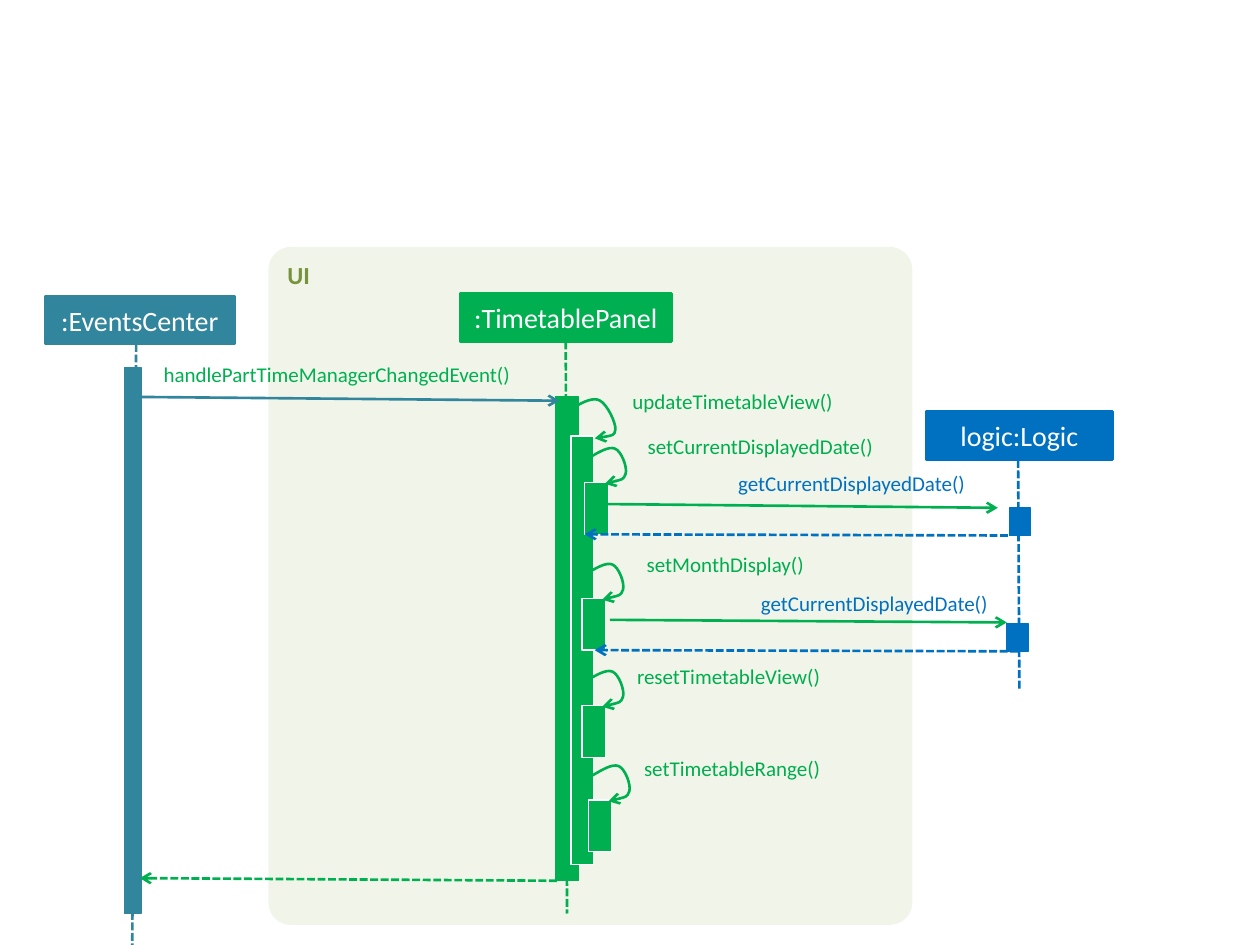
import pptx
import pptx.util
import pptx.dml.color
import pptx.enum.shapes
import pptx.enum.text
import pptx.enum.dml
import pptx.oxml.ns
import pptx.oxml.xmlchemy
from dataclasses import dataclass

Pt = pptx.util.Pt
RGB = pptx.dml.color.RGBColor.from_string
qn = pptx.oxml.ns.qn
OxmlElement = pptx.oxml.xmlchemy.OxmlElement
MSO = pptx.enum.shapes.MSO_SHAPE
ALIGN = pptx.enum.text.PP_ALIGN
ANCHOR = pptx.enum.text.MSO_ANCHOR


@dataclass(frozen=True)
class Theme:
    font: str = "Calibri"
    panel: str = "F1F5E9"
    panel_text: str = "77933C"
    events: str = "31859C"
    ui: str = "00B050"
    ui_text: str = "00AD4E"
    logic: str = "0070C0"
    white: str = "FFFFFF"
    head_size: int = 16
    panel_size: int = 14
    label_size: int = 12
    stroke: float = 1.5
    thin: float = 0.75


t = Theme()


def add_box(kind, rect, fill, line=None, width=t.thin):
    sp = s.shapes.add_shape(kind, *[Pt(v) for v in rect])
    sp.shadow.inherit = False
    sp.fill.solid()
    sp.fill.fore_color.rgb = RGB(fill)
    if line:
        sp.line.color.rgb = RGB(line)
        sp.line.width = Pt(width)
    else:
        sp.line.fill.background()
    return sp


def add_text(sp, text, size, color, align, anchor, bold=False):
    tf = sp.text_frame
    tf.word_wrap = True
    tf.vertical_anchor = anchor
    p = tf.paragraphs[0]
    p.alignment = align
    r = p.add_run()
    r.text = text
    r.font.name = t.font
    r.font.size = Pt(size)
    r.font.bold = bold
    r.font.color.rgb = RGB(color)


prs = pptx.Presentation()
prs.slide_width, prs.slide_height = Pt(720), Pt(540)
s = prs.slides.add_slide(prs.slide_layouts[6])

panel = add_box(MSO.ROUNDED_RECTANGLE, (153.4, 141.1, 367.9, 387.4), t.panel)
panel.adjustments[0] = 0.035
add_text(panel, "UI", t.panel_size, t.panel_text, ALIGN.LEFT, ANCHOR.TOP, True)

heads = [
    (":EventsCenter", (25.9, 169.2, 108, 27.4), t.events),
    (":TimetablePanel", (262.8, 167.8, 121, 27.4), t.ui),
    ("logic:Logic", (529.2, 235.1, 106.6, 27.4), t.logic),
]
for name, rect, color in heads:
    head = add_box(MSO.RECTANGLE, rect, color, color, t.stroke)
    add_text(head, name, t.head_size, t.white, ALIGN.CENTER, ANCHOR.MIDDLE)

lifelines = [
    (77.8, 196.6, 75.6, 540, t.events),
    (323.3, 195.2, 324, 522, t.ui),
    (581.8, 262.8, 582.5, 393.8, t.logic),
]
calls = [
    (77.8, 226.8, 319.7, 229, t.events),
    (343.4, 288, 570.2, 290.2, t.ui),
    (348.5, 354.2, 575.3, 355.7, t.ui),
]
returns = [
    (318.2, 503.3, 79.9, 501.8, t.ui),
    (576, 306, 334.1, 305.3, t.logic),
    (581.8, 372.2, 339.8, 371.5, t.logic),
]
bars = [
    ((317.5, 226.8, 13, 276.5), t.ui),
    ((71.3, 210.2, 9.4, 311.8), t.events),
    ((576.7, 290.2, 12.2, 15.8), t.logic),
    ((575.3, 356.4, 12.2, 15.8), t.logic),
]
wide_loop = [(13.7, 1.4), (19.4, 0.7), (25.2, 0), (25.5, -3.6), (25.9, -7.2),
             (20.9, -18), (16.6, -20.2), (13, -22.3), (7.2, -19.4), (2.2, -16.6)]
small_loop = [(11.5, 0.7), (16.8, -0.6), (22.3, -1.4), (23.4, -5), (24.5, -8.6),
              (21, -18), (17.3, -19.4), (13.7, -20.9), (7.9, -17.3), (2.2, -14)]
self_calls = [
    (326.2, 249.1, 13, 244.8, wide_loop),
    (334.1, 275.8, 13.5, 29.5, small_loop),
    (332.6, 342, 13.5, 29.5, small_loop),
    (332.6, 403.2, 13.5, 29.5, small_loop),
    (336.2, 457.2, 13.5, 29.5, small_loop),
]

strokes = []
for group, dashed, arrow in ((lifelines, True, False), (calls, False, True), (returns, True, True)):
    if group is calls:
        for rect, color in bars:
            add_box(MSO.RECTANGLE, rect, color, color)
        for x, y, w, h, loop in self_calls:
            add_box(MSO.RECTANGLE, (x, y, w, h), t.ui, t.white)
    for x1, y1, x2, y2, color in group:
        link = s.shapes.add_connector(pptx.enum.shapes.MSO_CONNECTOR.STRAIGHT,
                                      Pt(x1), Pt(y1), Pt(x2), Pt(y2))
        strokes.append((link, color, dashed, "a:tailEnd" if arrow else None))

for x, y, w, h, loop in self_calls:
    points = [(Pt(x + dx), Pt(y + dy)) for dx, dy in loop]
    builder = s.shapes.build_freeform(*points[0])
    builder.add_line_segments(points[1:], close=False)
    curve = builder.convert_to_shape()
    curve.fill.background()
    segments = list(curve._element.iter(qn("a:lnTo")))
    for i in range(0, len(segments), 3):
        bezier = OxmlElement("a:cubicBezTo")
        segments[i].addprevious(bezier)
        for segment in segments[i:i + 3]:
            bezier.append(segment[0])
            segment.getparent().remove(segment)
    strokes.append((curve, t.ui, False, "a:headEnd"))

for sp, color, dashed, end in strokes:
    sp.line.color.rgb = RGB(color)
    sp.line.width = Pt(t.stroke)
    if dashed:
        sp.line.dash_style = pptx.enum.dml.MSO_LINE.SQUARE_DOT
    if end:
        arrowhead = OxmlElement(end)
        arrowhead.set("type", "arrow")
        sp._element.spPr.find(qn("a:ln")).append(arrowhead)
    sp._element.spPr.append(OxmlElement("a:effectLst"))

event = s.shapes.add_textbox(Pt(86.4), Pt(203), Pt(251.3), Pt(21.6))
add_text(event, "handlePartTimeManagerChangedEvent()", t.label_size, t.ui, ALIGN.LEFT, ANCHOR.TOP)

labels = [
    ("updateTimetableView()", 319.7, 221.8, 156.2, t.ui_text),
    ("setCurrentDisplayedDate()", 335.5, 247.7, 163.4, t.ui_text),
    ("getCurrentDisplayedDate()", 391.7, 268.6, 159.8, t.logic),
    ("setMonthDisplay()", 337.7, 315.4, 121.7, t.ui_text),
    ("getCurrentDisplayedDate()", 391.7, 337.7, 172.8, t.logic),
    ("resetTimetableView()", 331.9, 379.4, 136.8, t.ui_text),
    ("setTimetableRange()", 335.5, 432, 133.2, t.ui_text),
]
for text, x, y, w, color in labels:
    label = s.shapes.add_textbox(Pt(x), Pt(y), Pt(w), Pt(14.4))
    tf = label.text_frame
    tf.margin_left = tf.margin_right = tf.margin_top = tf.margin_bottom = 0
    add_text(label, text, t.label_size, color, ALIGN.RIGHT, ANCHOR.TOP)

prs.save("out.pptx")
